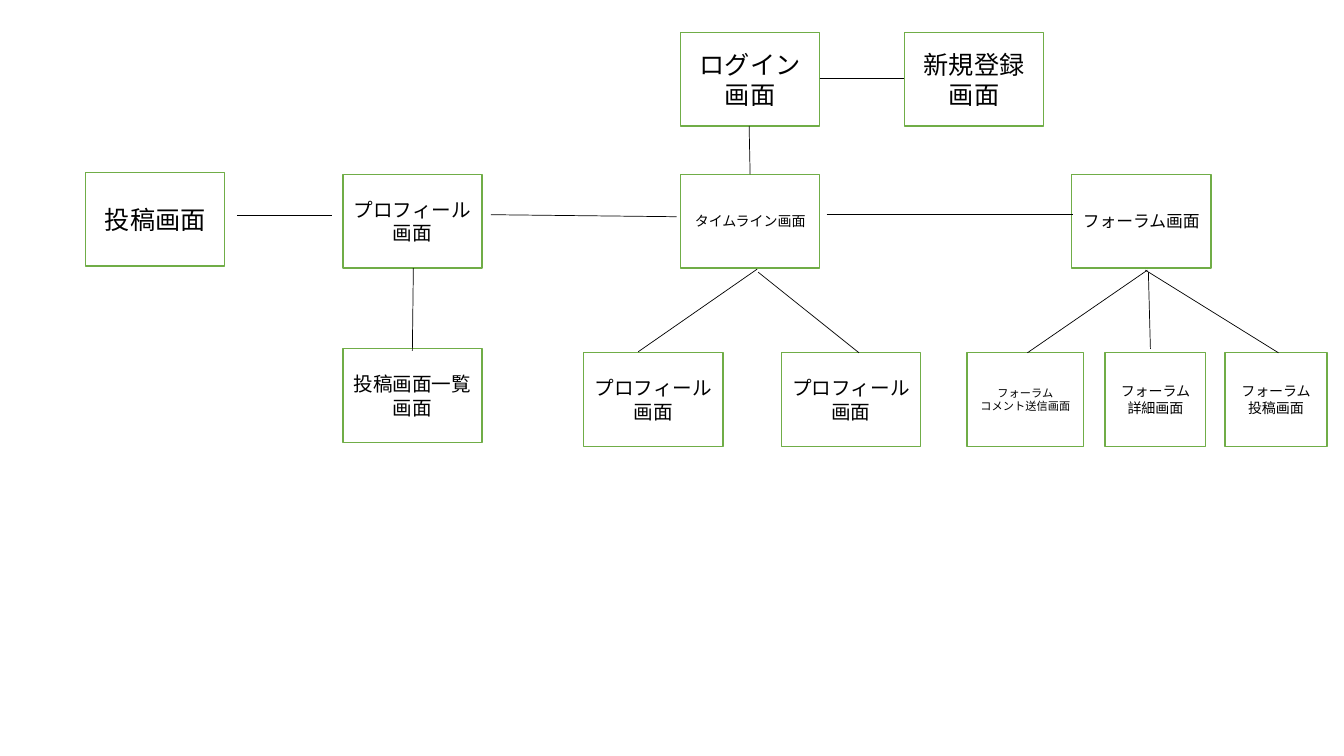
import pptx
import pptx.util
import pptx.dml.color
import pptx.enum.shapes
import pptx.enum.text
import pptx.oxml
import pptx.oxml.ns

Inches = pptx.util.Inches
Pt = pptx.util.Pt
COLORS = {"paper": "FFFFFF", "edge": "70AD47", "ink": "000000"}


def color(name):
    return pptx.dml.color.RGBColor.from_string(COLORS[name])


def write(frame, text, size=18, ink="ink", font="Noto Sans CJK JP"):
    frame.word_wrap = True
    frame.vertical_anchor = pptx.enum.text.MSO_ANCHOR.MIDDLE
    frame.text = text
    for para in frame.paragraphs:
        para.alignment = pptx.enum.text.PP_ALIGN.CENTER
        for run in para.runs:
            run.font.size = Pt(size)
            run.font.name = font
            run.font.color.rgb = color(ink)
            east = pptx.oxml.ns.qn("a:ea")
            run.font._element.find(pptx.oxml.ns.qn("a:latin")).addnext(
                run.font._element.makeelement(east, {"typeface": font}))


class Chart:
    width, height = 1.38, 0.93
    border, stroke = 1, 0.5

    def __init__(self, slide):
        self.slide = slide

    def box(self, text, left, top, size, width=width):
        rect = self.slide.shapes.add_shape(
            pptx.enum.shapes.MSO_SHAPE.RECTANGLE,
            Inches(left), Inches(top), Inches(width), Inches(self.height))
        rect.shadow.inherit = False
        rect.fill.solid()
        rect.fill.fore_color.rgb = color("paper")
        rect.line.color.rgb = color("edge")
        rect.line.width = Pt(self.border)
        write(rect.text_frame, text, size=size)

    def link(self, *ends):
        line = self.slide.shapes.add_connector(
            pptx.enum.shapes.MSO_CONNECTOR.STRAIGHT, *map(Inches, ends))
        line.line.color.rgb = color("ink")
        line.line.width = Pt(self.stroke)
        props = line._element.spPr
        props.append(props.makeelement(pptx.oxml.ns.qn("a:effectLst"), {}))


deck = pptx.Presentation()
deck.slide_width, deck.slide_height = Inches(13.33), Inches(7.5)
chart = Chart(deck.slides.add_slide(deck.slide_layouts[6]))

LOGIN, MAIN, LEAF = 0.32, 1.73, 3.5
PROFILE, TIMELINE = 3.4, 6.75

screens = [
    ("ログイン画面", TIMELINE, LOGIN, 18),
    ("新規登録画面", 8.97, LOGIN, 18),
    ("タイムライン画面", TIMELINE, MAIN, 10),
    ("フォーラム画面", 10.63, MAIN, 12),
    ("プロフィール画面", PROFILE, MAIN, 14),
    ("投稿画面", 0.85, 1.71, 18),
    ("プロフィール画面", 5.79, LEAF, 14),
    ("プロフィール画面", 7.75, LEAF, 14),
    ("フォーラム\nコメント送信画面", 9.59, LEAF, 8, 1.16),
    ("フォーラム詳細画面", 10.96, LEAF, 10, 1),
    ("フォーラム投稿画面", 12.15, LEAF, 10, 1.01),
    ("投稿画面一覧画面", PROFILE, 3.46, 14),
]
for screen in screens:
    chart.box(*screen)

across = [
    (8.13, 0.78, 8.97, 0.78),
    (2.35, 2.14, 3.29, 2.14),
    (4.87, 2.13, 6.71, 2.15),
    (8.2, 2.13, 10.64, 2.13),
]
down = [
    (7.43, 1.25, 7.44, MAIN),
    (4.1, 2.66, 4.09, 3.48),
    (7.51, 2.67, 6.33, 3.49),
    (7.52, 2.7, 8.52, LEAF),
    (11.38, 2.68, 10.19, LEAF),
    (11.39, 2.7, 11.41, 3.46),
    (11.36, 2.68, 12.68, LEAF),
]
for ends in across + down:
    chart.link(*ends)

deck.save("out.pptx")
